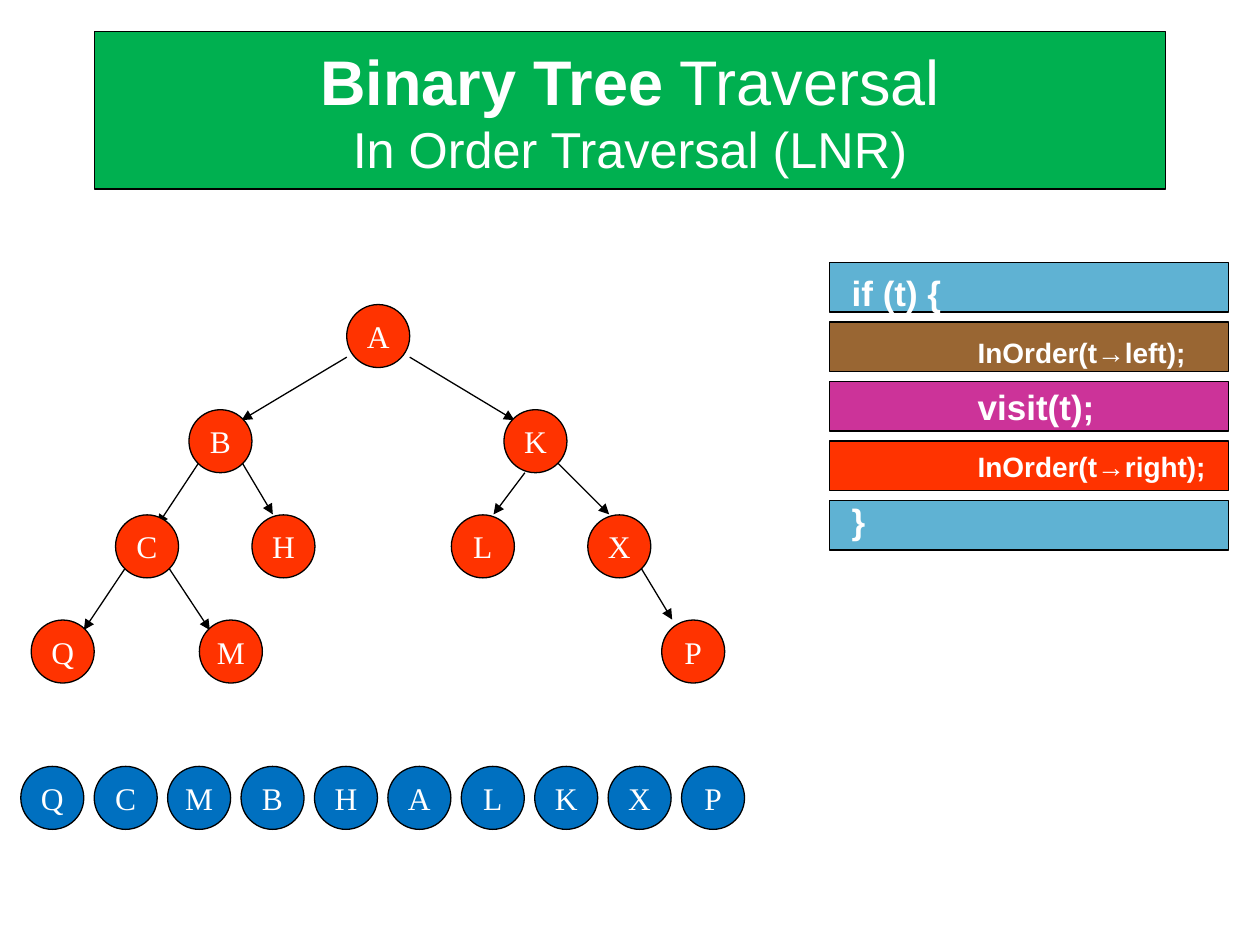
from dataclasses import dataclass
from lxml.etree import SubElement
from pptx import Presentation
from pptx.dml.color import RGBColor
from pptx.enum.shapes import MSO_CONNECTOR, MSO_SHAPE
from pptx.enum.text import MSO_ANCHOR, MSO_AUTO_SIZE, PP_ALIGN
from pptx.oxml.ns import qn
from pptx.util import Cm, Pt


@dataclass(frozen=True)
class Theme:
    ink: str = "000000"
    text: str = "FFFFFF"
    head: str = "00B050"
    node: str = "FF3300"
    path_node: str = "0070C0"
    brace: str = "5FB2D3"
    left: str = "996633"
    visit: str = "CC3399"
    right: str = "FF3300"
    sans: str = "Arial"
    serif: str = "Times New Roman"
    title: float = 36
    sub: float = 28.8
    code: float = 20
    call: float = 16
    label: float = 18
    edge: float = 0.75


THEME = Theme()
SIDE = 1.27
TOP, LEVEL = 6.14, 2.12
NODES = [
    ("A", 6.99, 0),
    ("B", 3.81, 1), ("K", 10.16, 1),
    ("C", 2.33, 2), ("H", 5.08, 2), ("L", 9.1, 2), ("X", 11.85, 2),
    ("Q", 0.63, 3), ("M", 4.02, 3), ("P", 13.34, 3),
]
EDGES = [
    (6.99, 7.2, 4.87, 8.47), (8.26, 7.2, 10.37, 8.47),
    (11.22, 9.31, 12.28, 10.37), (10.58, 9.53, 9.95, 10.37),
    (4.02, 9.31, 3.18, 10.58), (4.87, 9.31, 5.5, 10.37),
    (12.91, 11.43, 13.55, 12.49),
    (2.54, 11.43, 1.69, 12.7), (3.39, 11.43, 4.23, 12.7),
]
ORDER = "QCMBHALKXP"
CODE = [
    (THEME.brace, [("if (t) {", THEME.code)]),
    (THEME.left, [("\t", THEME.code), ("InOrder(t→left);", THEME.call)]),
    (THEME.visit, [("\tvisit(t);", THEME.code)]),
    (THEME.right, [("\t", THEME.code), ("InOrder(t→right);", THEME.call)]),
    (THEME.brace, [("}", THEME.code)]),
]


def put(item, form):
    for name, value in form.items():
        setattr(item, name, value)


def place(item, x, y, w, h):
    put(item, {"left": Cm(x), "top": Cm(y), "width": Cm(w), "height": Cm(h)})


def paint(shape, fill):
    shape.fill.solid()
    shape.fill.fore_color.rgb = RGBColor.from_string(fill)
    stroke(shape.line)


def stroke(line):
    line.color.rgb = RGBColor.from_string(THEME.ink)
    line.width = Pt(THEME.edge)


def write(para, text, size, face, bold=False):
    run = para.add_run()
    run.text = text
    put(run.font, {"name": face, "size": Pt(size), "bold": bold})
    run.font.color.rgb = RGBColor.from_string(THEME.text)


def add_block(slide, kind, x, y, w, h, fill):
    shape = slide.shapes.add_shape(kind, Cm(x), Cm(y), Cm(w), Cm(h))
    shape.shadow.inherit = False
    paint(shape, fill)
    return shape


def add_node(slide, label, x, y, fill):
    node = add_block(slide, MSO_SHAPE.OVAL, x, y, SIDE, SIDE, fill)
    put(node.text_frame, {"word_wrap": False,
                          "vertical_anchor": MSO_ANCHOR.MIDDLE})
    para = node.text_frame.paragraphs[0]
    para.alignment = PP_ALIGN.CENTER
    write(para, label, THEME.label, THEME.serif)


def add_edge(slide, ends):
    edge = slide.shapes.add_connector(MSO_CONNECTOR.STRAIGHT, *map(Cm, ends))
    stroke(edge.line)
    props = edge._element.spPr
    SubElement(props.get_or_add_ln(), qn("a:tailEnd"), type="triangle")
    SubElement(props, qn("a:effectLst"))


def add_title(slide):
    title = slide.shapes.title
    place(title, 1.9, 0.64, 21.6, 3.17)
    paint(title, THEME.head)
    put(title.text_frame, {"word_wrap": True,
                           "auto_size": MSO_AUTO_SIZE.NONE,
                           "vertical_anchor": MSO_ANCHOR.MIDDLE})
    para = title.text_frame.paragraphs[0]
    para.alignment = PP_ALIGN.CENTER
    write(para, "Binary Tree", THEME.title, THEME.sans, True)
    write(para, " Traversal", THEME.title, THEME.sans)
    para.add_line_break()
    write(para, "In Order Traversal (LNR)", THEME.sub, THEME.sans)


def add_code(slide):
    for row, (fill, _) in enumerate(CODE):
        add_block(slide, MSO_SHAPE.RECTANGLE, 16.72, 5.29 + 1.2 * row,
                  8.04, 1, fill)
    box = slide.shapes.add_textbox(Cm(16.92), Cm(5.44), Cm(8.08), Cm(5.82))
    frame = box.text_frame
    frame.word_wrap = True
    for row, (_, parts) in enumerate(CODE):
        para = frame.add_paragraph() if row else frame.paragraphs[0]
        tabs = SubElement(para._p.get_or_add_pPr(), qn("a:tabLst"))
        SubElement(tabs, qn("a:tab"), pos=str(Cm(2.54)), algn="l")
        put(para, {"line_spacing": 0.9, "space_before": Pt(11 if row else 0)})
        for text, size in parts:
            write(para, text, size, THEME.sans, True)


def main():
    deck = Presentation()
    put(deck, {"slide_width": Cm(25.4), "slide_height": Cm(19.05)})
    slide = deck.slides.add_slide(deck.slide_layouts[5])
    add_title(slide)
    for ends in EDGES:
        add_edge(slide, ends)
    for label, x, level in NODES:
        add_node(slide, label, x, TOP + LEVEL * level, THEME.node)
    for step, label in enumerate(ORDER):
        add_node(slide, label, 0.42 + 1.48 * step, 15.45, THEME.path_node)
    add_code(slide)
    deck.save("out.pptx")


if __name__ == "__main__":
    main()
